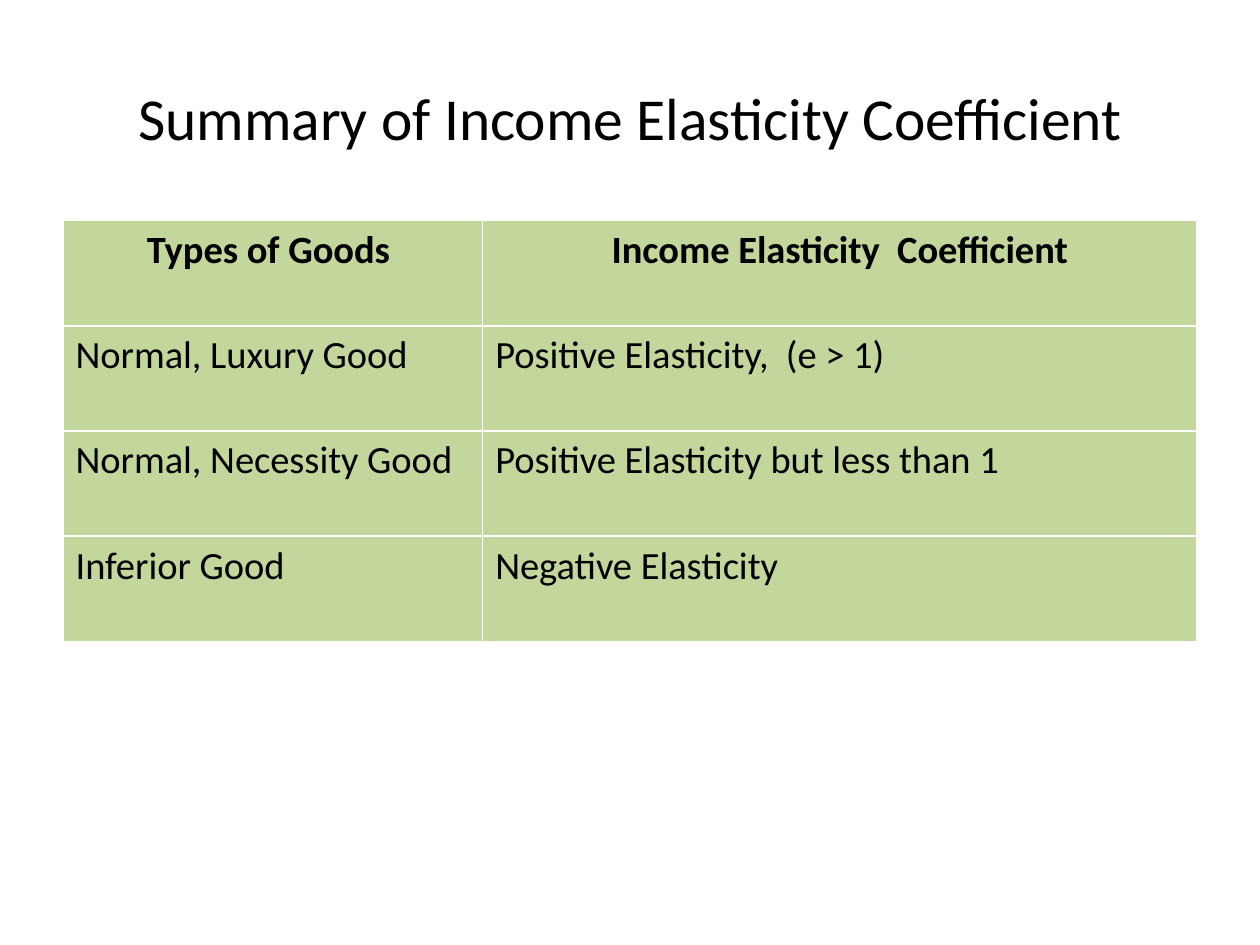
from typing import NamedTuple

from pptx import Presentation
from pptx.dml.color import RGBColor
from pptx.enum.text import MSO_ANCHOR, PP_ALIGN
from pptx.util import Cm, Pt

FONT = "Calibri"
BLACK = "000000"
GREEN = "C3D69B"


class Row(NamedTuple):
    goods: str
    coefficient: str


HEADER = Row("Types of Goods ", "Income Elasticity  Coefficient")
ROWS = [
    Row("Normal, Luxury Good", "Positive Elasticity,  (e > 1)"),
    Row("Normal, Necessity Good", "Positive Elasticity but less than 1"),
    Row("Inferior Good", "Negative Elasticity"),
]
COLUMN_WIDTHS = (Cm(8.46), Cm(14.4))
ROW_HEIGHT = Cm(2.12)


def color(value: str) -> RGBColor:
    return RGBColor.from_string(value)


def format_paragraph(paragraph, size: float, bold: bool, alignment: PP_ALIGN) -> None:
    paragraph.alignment = alignment
    font = paragraph.font
    font.name = FONT
    font.size = Pt(size)
    font.bold = bold
    font.color.rgb = color(BLACK)


def add_title(slide, text: str) -> None:
    title = slide.shapes.title
    title.left, title.top, title.width, title.height = Cm(1.27), Cm(0.76), Cm(22.86), Cm(3.18)
    title.text_frame.text = text
    title.text_frame.vertical_anchor = MSO_ANCHOR.MIDDLE
    format_paragraph(title.text_frame.paragraphs[0], 34, False, PP_ALIGN.CENTER)


def add_goods_table(slide, rows: list[Row]) -> None:
    # The default table style supplies the white rules and the thicker header rule
    table = slide.shapes.add_table(
        len(rows), len(COLUMN_WIDTHS), Cm(1.27), Cm(4.45),
        sum(COLUMN_WIDTHS), ROW_HEIGHT * len(rows),
    ).table
    for column, width in zip(table.columns, COLUMN_WIDTHS):
        column.width = width
    for row_index, row in enumerate(rows):
        is_header = row_index == 0
        alignment = PP_ALIGN.CENTER if is_header else PP_ALIGN.LEFT
        for column_index, text in enumerate(row):
            cell = table.cell(row_index, column_index)
            cell.fill.solid()
            cell.fill.fore_color.rgb = color(GREEN)
            cell.text = text
            format_paragraph(cell.text_frame.paragraphs[0], 22, is_header, alignment)


def main() -> None:
    presentation = Presentation()
    presentation.slide_width, presentation.slide_height = Cm(25.4), Cm(19.05)
    # Title Only layout
    slide = presentation.slides.add_slide(presentation.slide_layouts[5])
    add_title(slide, "Summary of Income Elasticity Coefficient")
    add_goods_table(slide, [HEADER, *ROWS])
    presentation.save("out.pptx")


if __name__ == "__main__":
    main()
